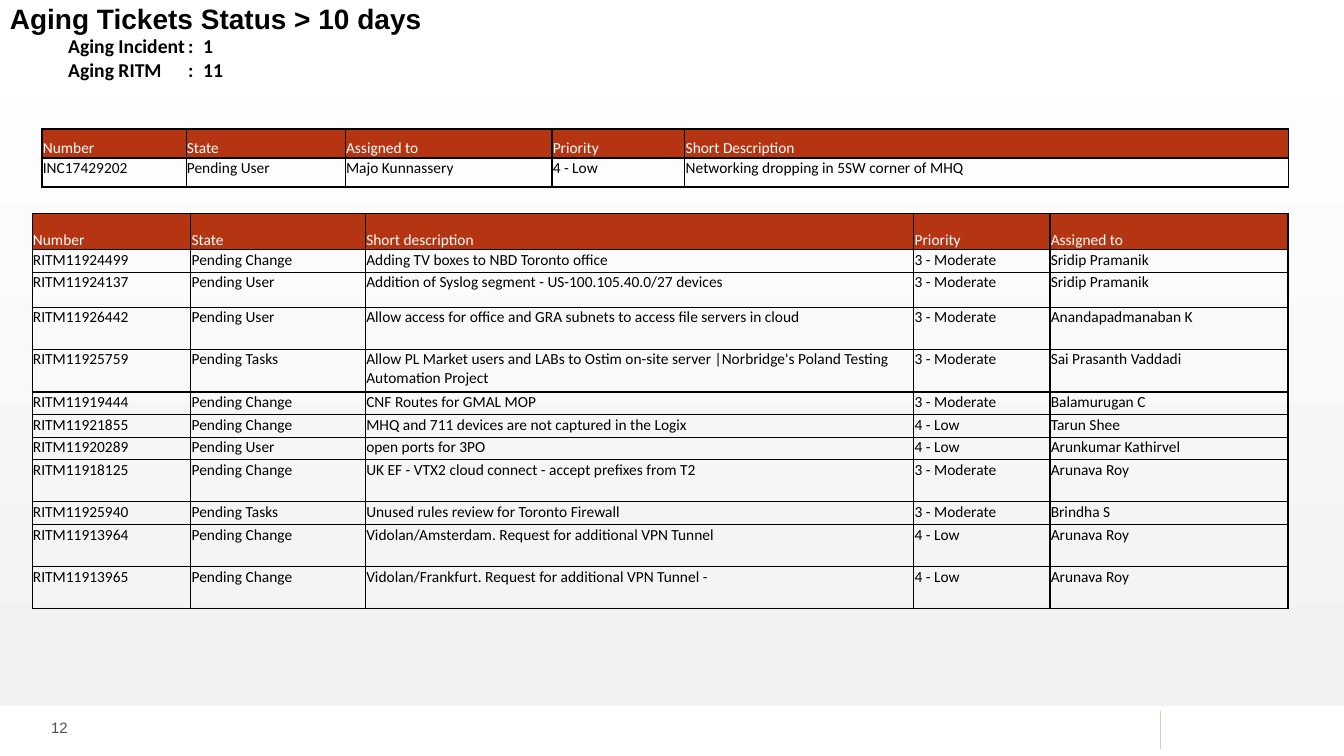
from lxml.etree import SubElement
from pptx import Presentation
from pptx.dml.color import RGBColor
from pptx.enum.shapes import MSO_CONNECTOR, MSO_SHAPE
from pptx.enum.text import MSO_ANCHOR
from pptx.oxml.ns import qn
from pptx.util import Cm, Pt

BLACK, WHITE, RUST = "000000", "FFFFFF", "B53513"

INCIDENT_COLS = [
    ("Number", 3.63), ("State", 4.01), ("Assigned to", 5.21),
    ("Priority", 3.35), ("Short Description", 15.21),
]
INCIDENTS = [
    (0.73, "INC17429202", "Pending User", "Majo Kunnassery", "4 - Low",
     "Networking dropping in 5SW corner of MHQ"),
]

REQUEST_COLS = [
    ("Number", 4.0), ("State", 4.4), ("Short description", 13.82),
    ("Priority", 3.43), ("Assigned to", 6.0),
]
# Row height in cm, then the cell texts
REQUESTS = [
    (0.57, "RITM11924499", "Pending Change", "Adding TV boxes to NBD Toronto office",
     "3 - Moderate", "Sridip Pramanik"),
    (0.88, "RITM11924137", "Pending User",
     "Addition of Syslog segment - US-100.105.40.0/27 devices",
     "3 - Moderate", "Sridip Pramanik"),
    (1.06, "RITM11926442", "Pending User",
     "Allow access for office and GRA subnets to access file servers in cloud",
     "3 - Moderate", "Anandapadmanaban K"),
    (1.08, "RITM11925759", "Pending Tasks",
     "Allow PL Market users and LABs to Ostim on-site server |"
     "Norbridge's Poland Testing Automation Project",
     "3 - Moderate", "Sai Prasanth Vaddadi"),
    (0.57, "RITM11919444", "Pending Change", "CNF Routes for GMAL MOP",
     "3 - Moderate", "Balamurugan C"),
    (0.57, "RITM11921855", "Pending Change",
     "MHQ and 711 devices are not captured in the Logix",
     "4 - Low", "Tarun Shee"),
    (0.57, "RITM11920289", "Pending User", "open ports for 3PO",
     "4 - Low", "Arunkumar Kathirvel"),
    (1.06, "RITM11918125", "Pending Change",
     "UK EF - VTX2 cloud connect - accept prefixes from T2",
     "3 - Moderate", "Arunava Roy"),
    (0.57, "RITM11925940", "Pending Tasks", "Unused rules review for Toronto Firewall",
     "3 - Moderate", "Brindha S"),
    (1.06, "RITM11913964", "Pending Change",
     "Vidolan/Amsterdam. Request for additional VPN Tunnel",
     "4 - Low", "Arunava Roy"),
    (1.06, "RITM11913965", "Pending Change",
     "Vidolan/Frankfurt. Request for additional VPN Tunnel -",
     "4 - Low", "Arunava Roy"),
]


def rgb(color):
    return RGBColor.from_string(color)


def format_runs(p, size, font, color, bold=False):
    for r in p.runs:
        r.font.size = Pt(size)
        r.font.name = font
        r.font.bold = bold
        r.font.color.rgb = rgb(color)


def add_tabs(p, stops):
    tabs = SubElement(p._p.get_or_add_pPr(), qn("a:tabLst"))
    for stop in stops:
        SubElement(tabs, qn("a:tab"), pos=str(Cm(stop)), algn="l")


def add_text(s, box, lines, size, font, color, bold=False,
             anchor=MSO_ANCHOR.TOP, inset=0.25, spacing=None, tabs=()):
    tf = s.shapes.add_textbox(*map(Cm, box)).text_frame
    tf.word_wrap = True
    tf.vertical_anchor = anchor
    tf.margin_left = Cm(inset)
    tf.text = "\n".join(lines)
    for p in tf.paragraphs:
        if tabs:
            add_tabs(p, tabs)
        if spacing:
            p.line_spacing = spacing
        format_runs(p, size, font, color, bold)


def add_borders(cell):
    tcPr = cell._tc.get_or_add_tcPr()
    for side in ("lnL", "lnR", "lnT", "lnB"):
        ln = SubElement(tcPr, qn("a:" + side), w=str(Pt(1)))
        SubElement(SubElement(ln, qn("a:solidFill")), qn("a:srgbClr"), val=BLACK)


def fill_cell(cell, text, header):
    cell.text = text
    cell.margin_left = cell.margin_right = cell.margin_top = Cm(0.02)
    cell.margin_bottom = 0
    cell.vertical_anchor = MSO_ANCHOR.BOTTOM if header else MSO_ANCHOR.TOP
    format_runs(cell.text_frame.paragraphs[0], 11, "Calibri", WHITE if header else BLACK)
    add_borders(cell)
    if header:
        cell.fill.solid()
        cell.fill.fore_color.rgb = rgb(RUST)
    else:
        cell.fill.background()


def add_ticket_table(s, left, top, cols, header_height, tickets):
    names, widths = zip(*cols)
    rows = [(header_height, *names), *tickets]
    height = sum(row[0] for row in rows)
    table = s.shapes.add_table(len(rows), len(cols), Cm(left), Cm(top),
                               Cm(sum(widths)), Cm(height)).table
    table.first_row = table.horz_banding = False
    for col, width in zip(table.columns, widths):
        col.width = Cm(width)
    for i, (row_height, *texts) in enumerate(rows):
        table.rows[i].height = Cm(row_height)
        for j, text in enumerate(texts):
            fill_cell(table.cell(i, j), text, header=i == 0)


def add_backdrop(s):
    sp = s.shapes.add_shape(MSO_SHAPE.RECTANGLE, 0, 0, Cm(33.87), Cm(17.78))
    sp.shadow.inherit = False
    sp.line.fill.background()
    sp.fill.gradient()
    sp.fill.gradient_angle = 90
    for stop, color in zip(sp.fill.gradient_stops, ("F2F2F2", WHITE)):
        stop.color.rgb = rgb(color)


def add_footer_rule(s):
    rule = s.shapes.add_connector(MSO_CONNECTOR.STRAIGHT, Cm(29.24), Cm(17.91),
                                  Cm(29.24), Cm(18.87))
    rule.line.color.rgb = rgb("D5D0B5")
    rule.line.width = Pt(0.5)
    SubElement(rule._element.spPr, qn("a:effectLst"))


def main():
    prs = Presentation()
    prs.slide_width, prs.slide_height = Cm(33.87), Cm(19.05)
    s = prs.slides.add_slide(prs.slide_layouts[6])

    # Background and footer
    add_backdrop(s)
    add_text(s, (1.04, 17.98, 1.93, 0.71), ["12"], 10.7, "Arial", "505046")
    add_footer_rule(s)

    # Title and ticket counts
    add_text(s, (0, -0.15, 32.21, 1.35), ["Aging Tickets Status > 10 days"], 20, "Arial",
             BLACK, bold=True, anchor=MSO_ANCHOR.MIDDLE, spacing=0.9)
    add_text(s, (1.35, 0.74, 7.11, 1.45), ["Aging Incident\t:\t1", "Aging RITM\t:\t11"],
             14, "Calibri", BLACK, bold=True, inset=0.37, tabs=(3.02, 3.4))

    # Ticket tables
    add_ticket_table(s, 0.81, 5.38, REQUEST_COLS, 0.91, REQUESTS)
    add_ticket_table(s, 1.06, 3.25, INCIDENT_COLS, 0.73, INCIDENTS)

    prs.save("out.pptx")


if __name__ == "__main__":
    main()
